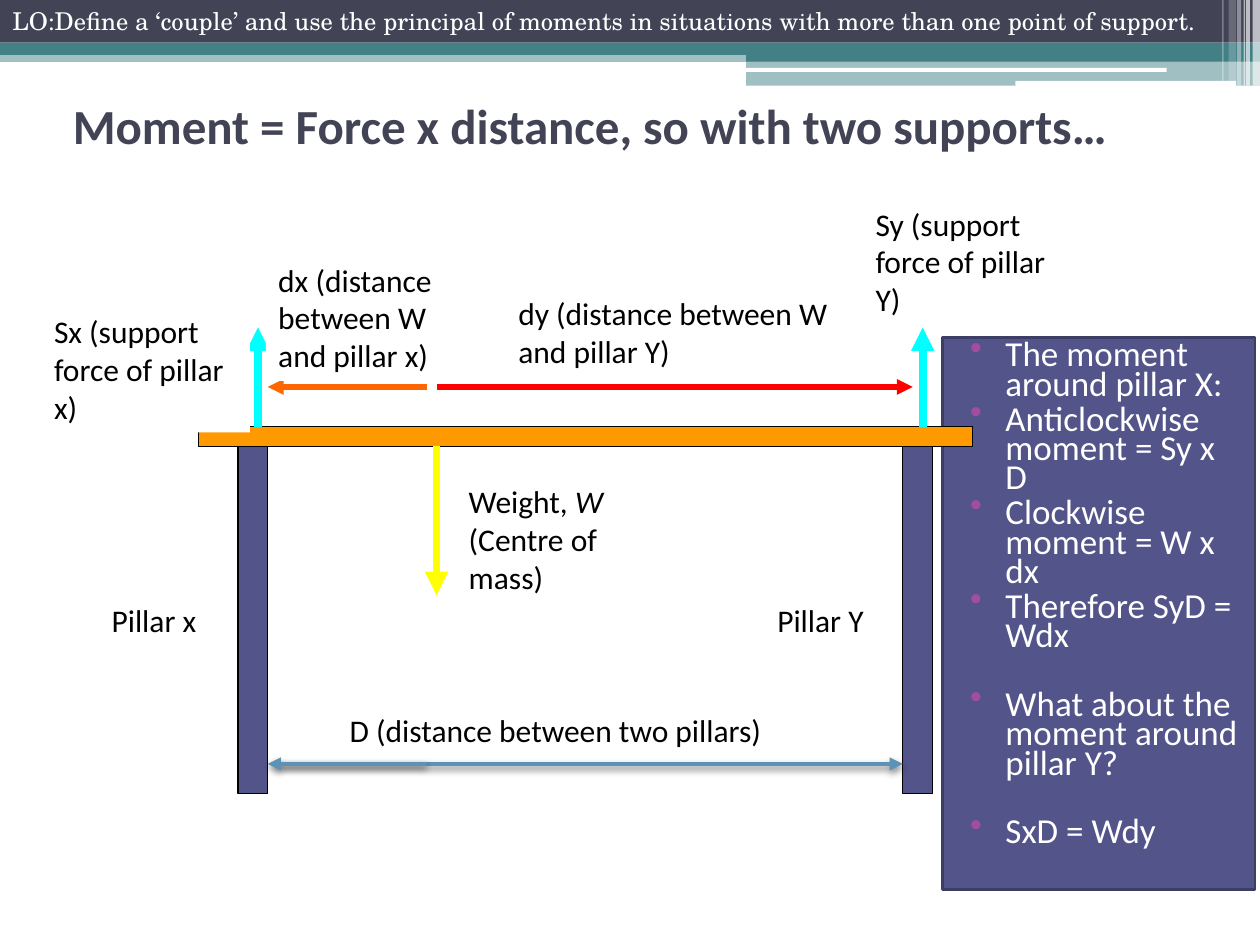
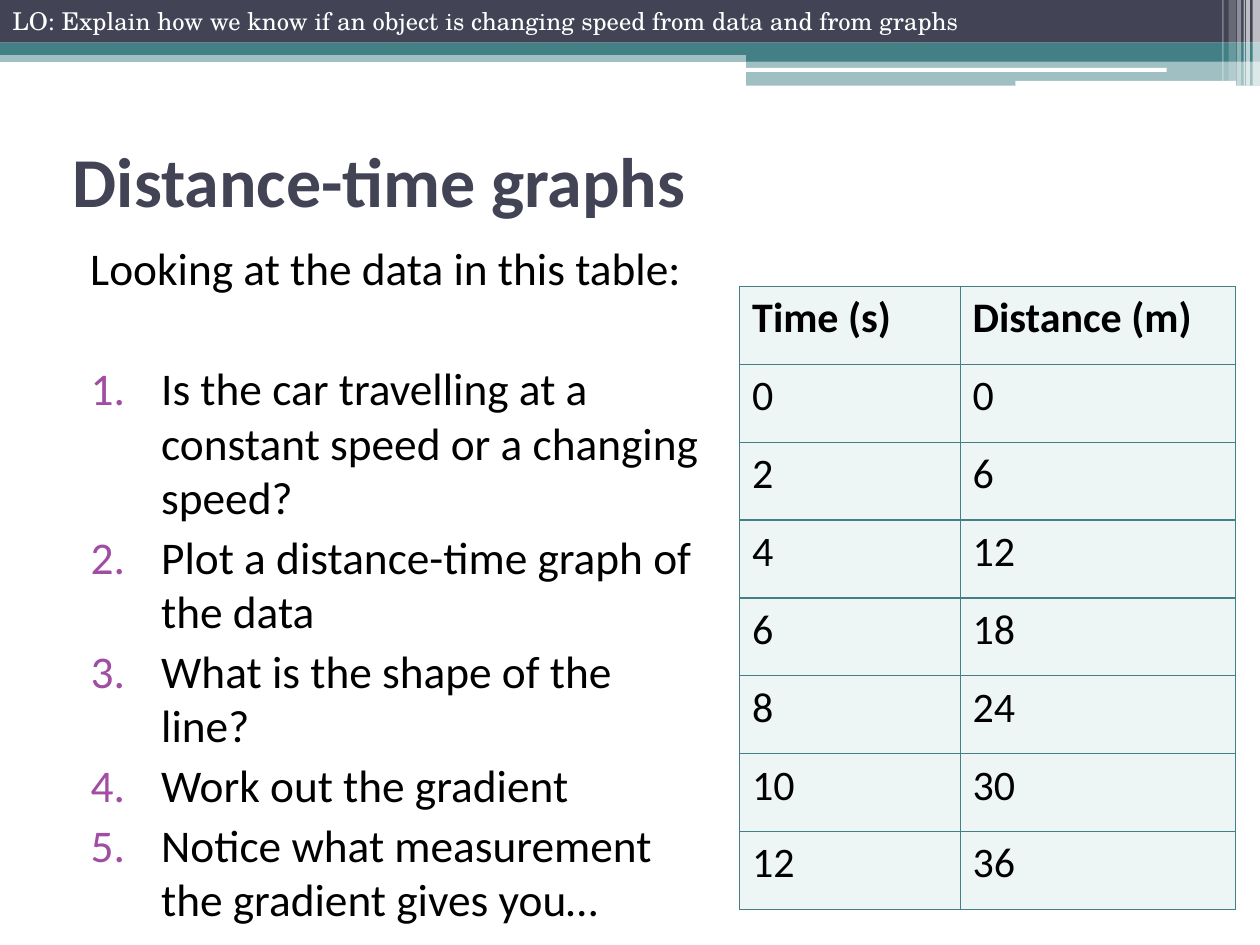
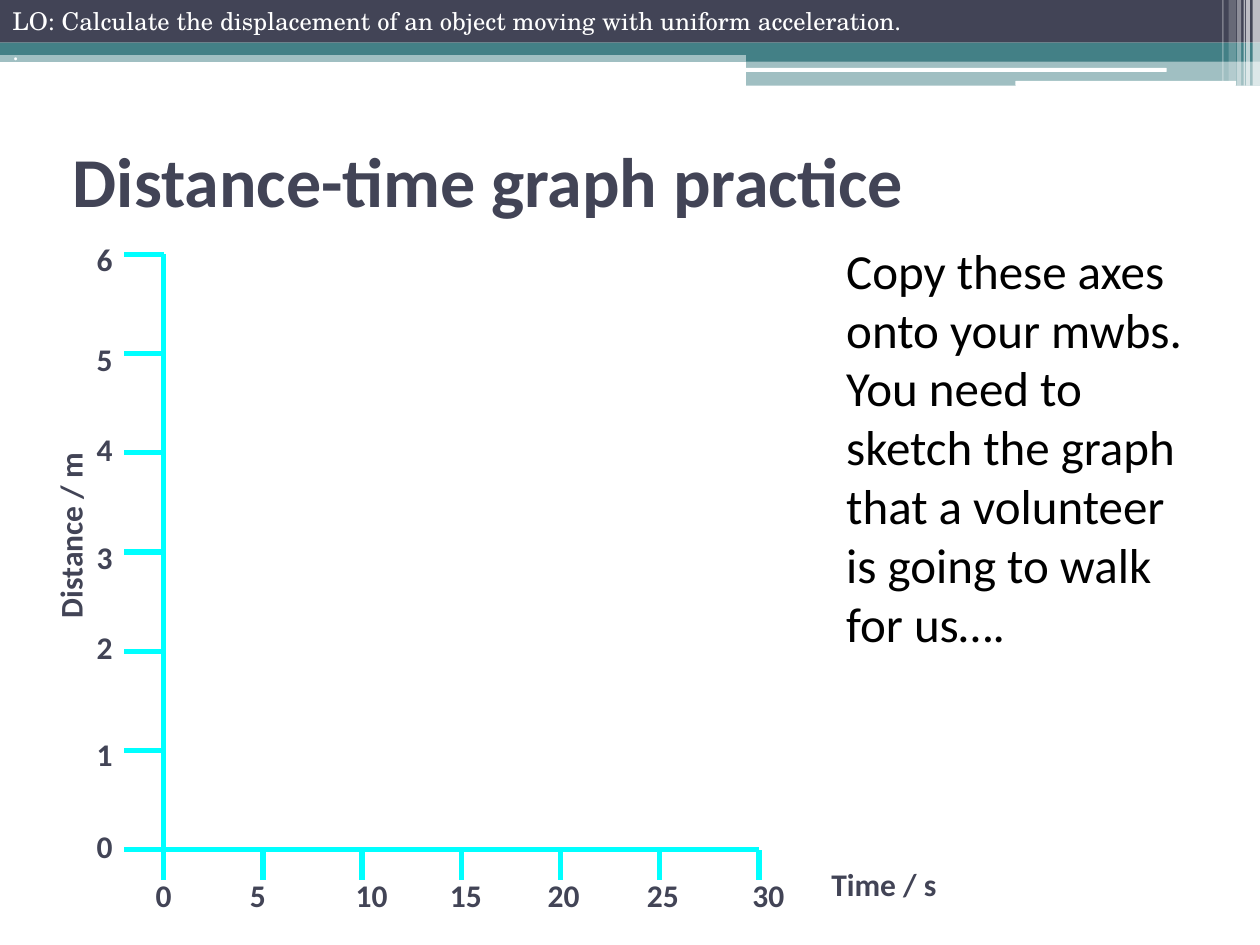
"""Build three physics slides on moments and distance-time graphs."""
from collections import namedtuple

from lxml.etree import SubElement as Sub
from pptx import Presentation
from pptx.dml.color import RGBColor as Rgb
from pptx.enum.shapes import MSO_CONNECTOR as Link, MSO_SHAPE as Kind
from pptx.enum.text import MSO_ANCHOR as Anchor, PP_ALIGN as Align
from pptx.oxml.ns import qn
from pptx.util import Cm, Pt

Box = namedtuple("Box", "x y w h")

HUES = {
    "ink": "424456", "teal": "438086", "white": "FFFFFF", "black": "000000",
    "slate": "53548A", "edge": "3D3E66", "dot": "A04DA3", "beam": "FF9900",
    "yellow": "FFFF00", "cyan": "00FFFF", "red": "FF0000", "orange": "FF6600",
    "blue": "5C92B5", "mint": "EDF5F5",
}
SANS, SERIF = "Calibri", "TeX Gyre Schola"
PAGE = Box(0, 0, 25.4, 19.05)


def hue(name):
    """Return the named colour."""
    return Rgb.from_string(HUES[name])


def span(box):
    """Return a box as four lengths."""
    return [Cm(side) for side in box]


def inside(box, x, y, w, h):
    """Return a box placed from the corner of another."""
    return Box(box.x + x, box.y + y, w, h)


def block(slide, box, fill, edge=None, width=0.75, kind=Kind.RECTANGLE, alpha=100):
    """Draw a filled shape, with an edge if one is named."""
    shape = slide.shapes.add_shape(kind, *span(box))
    shape.shadow.inherit = False
    shape.fill.solid()
    shape.fill.fore_color.rgb = hue(fill)
    if alpha < 100:
        tint = next(shape.element.spPr.iter(qn("a:srgbClr")))
        Sub(tint, qn("a:alpha"), val=str(alpha * 1000))
    if edge:
        shape.line.color.rgb = hue(edge)
        shape.line.width = Pt(width)
    else:
        shape.line.fill.background()
    return shape


def style(frame, size, color="black", bold=False, font=SANS):
    """Format every run in a frame."""
    for para in frame.paragraphs:
        para.alignment = Align.LEFT
        for run in para.runs:
            run.font.size = Pt(size)
            run.font.name = font
            run.font.bold = bold
            run.font.color.rgb = hue(color)


def write(slide, box, text, size, color="black", wrap=True, **look):
    """Add a text box and return it."""
    shape = slide.shapes.add_textbox(*span(box))
    shape.text_frame.word_wrap = wrap
    shape.text_frame.text = text
    style(shape.text_frame, size, color, **look)
    return shape


def bullet(para, left, hang, tag, **mark):
    """Give a paragraph a hanging, coloured bullet."""
    props = para._p.get_or_add_pPr()
    props.set("marL", str(Cm(left)))
    props.set("indent", str(-Cm(hang)))
    Sub(Sub(props, qn("a:buClr")), qn("a:srgbClr"), val=HUES["dot"])
    Sub(props, qn(tag), **mark)


def stroke(slide, box, start, end, color, width, head=False, shade=False):
    """Draw a line between two points of a box."""
    ends = [Cm(base + step) for point in (start, end)
            for base, step in zip((box.x, box.y), point)]
    line = slide.shapes.add_connector(Link.STRAIGHT, *ends)
    line.line.color.rgb = hue(color)
    line.line.width = Pt(width)
    if head:
        Sub(line.line._get_or_add_ln(), qn("a:tailEnd"), type="triangle")
    glow = Sub(line.element.spPr, qn("a:effectLst"))
    if shade:
        drop = Sub(glow, qn("a:outerShdw"), blurRad=str(Pt(4)), dist=str(Pt(2)),
                   dir="5400000", rotWithShape="0")
        tint = Sub(drop, qn("a:srgbClr"), val=HUES["black"])
        Sub(tint, qn("a:alpha"), val="45000")


def banner(slide, box):
    """Draw the bands and stripes along the top."""
    half = 15.04
    for x, y, w, h, fill, alpha in (
            (0, 1.02, box.w, 0.23, "teal", 50), (0, 0, box.w, 0.86, "ink", 100),
            (0, 0.86, box.w, 0.25, "teal", 100),
            (half, 0.99, box.w - half, 0.25, "teal", 100),
            (half, 1.22, box.w - half, 0.51, "teal", 50)):
        block(slide, inside(box, x, y, w, h), fill, alpha=alpha)
    for bar in ((15.01, 1.37, 8.51, 0.08), (20.47, 1.63, 4.45, 0.1)):
        block(slide, inside(box, *bar), "white", kind=Kind.ROUNDED_RECTANGLE)
    for x, w, h, alpha in (
            (25.25, 0.15, 1.73, 65), (25.12, 0.08, 1.73, 65), (25.07, 0.03, 1.73, 60),
            (24.94, 0.08, 1.73, 40), (24.77, 0.15, 1.63, 20), (24.64, 0.03, 1.63, 30)):
        block(slide, inside(box, x, 0, w, h), "white", alpha=alpha)


def start(deck, title, goal, size=40, spot=Box(1.22, 2.13, 22.86, 2.97)):
    """Add a slide with its banner, title and learning goal."""
    slide = deck.slides.add_slide(deck.slide_layouts[6])
    banner(slide, PAGE)
    head = write(slide, spot, title, size, "ink", bold=True)
    head.text_frame.vertical_anchor = Anchor.MIDDLE
    write(slide, Box(0, 0, 25.3, 0.86), goal, 14, "white", font=SERIF)
    return slide


def panel(slide, box):
    """Draw the panel that works through the moments."""
    frame = block(slide, box, "slate", "edge", 1.5).text_frame
    frame.word_wrap = True
    frame.vertical_anchor = Anchor.TOP
    steps = (("The moment around pillar X:", 0), ("Anticlockwise moment = Sy x D", 3),
             ("Clockwise moment = W x dx", 3), ("Therefore SyD = Wdx", 3),
             ("What about the moment around pillar Y?", 22.5), ("SxD = Wdy", 22.5))
    frame.text = "\n".join(text for text, gap in steps)
    for para, (text, gap) in zip(frame.paragraphs, steps):
        para.line_spacing = 0.7
        para.space_before = Pt(gap)
        bullet(para, 1.02, 0.71, "a:buChar", char="•")
    style(frame, 20, "white")


def bridge(slide, box):
    """Draw the beam on two pillars with its forces and lengths."""
    for x in (4, 17.4):
        block(slide, inside(box, x, 5, 0.6, 7), "slate", "black")
    block(slide, inside(box, 3.2, 4.6, 15.6, 0.4), "beam", "black")
    for first, last, color, width in (
            ((8, 5), (8, 8), "yellow", 4.5),
            ((17.8, 4.6), (17.8, 2.6), "cyan", 4.5),
            ((4.4, 4.6), (4.4, 2.6), "cyan", 4.5),
            ((8, 3.8), (17.6, 3.8), "red", 3),
            ((7.8, 3.8), (4.6, 3.8), "orange", 3),
            ((4.8, 11.4), (17.4, 11.4), "blue", 2.5),
            ((7.8, 11.4), (4.6, 11.4), "blue", 2.5)):
        stroke(slide, box, first, last, color, width, True, color == "blue")
    for x, y, w, h, text in (
            (16.6, 0, 4, 2.55, "Sy (support force of pillar Y)"),
            (0.04, 2.17, 4.2, 2.55, "Sx (support force of pillar x)"),
            (9.4, 1.8, 7, 1.78, "dy (distance between W and pillar Y)"),
            (4.56, 1.13, 3.8, 2.55, "dx (distance between W and pillar x)"),
            (6, 10.2, 10.4, 1.02, "D (distance between two pillars)"),
            (1.2, 8, 2.6, 1.02, "Pillar x"),
            (14.62, 8, 2.6, 1.02, "Pillar Y"),
            (8.4, 5.6, 4, 2.55, "Weight, ")):
        label = write(slide, inside(box, x, y, w, h), text, 18)
        label.fill.solid()
        label.fill.fore_color.rgb = hue("white")
    para = label.text_frame.paragraphs[0]
    for text, slant in (("W", True), (" (Centre of mass)", False)):
        run = para.add_run()
        run.text = text
        run.font.italic = slant
    style(label.text_frame, 18)


def tasks(slide, box):
    """Write the numbered questions about the data."""
    lines = ("Looking at the data in this table:",
             "Is the car travelling at a constant speed or a changing speed?",
             "Plot a distance-time graph of the data", "What is the shape of the line?",
             "Work out the gradient", "Notice what measurement the gradient gives you…")
    frame = write(slide, box, "\n".join(lines), 25.9).text_frame
    lead, *rest = frame.paragraphs
    lead._p.get_or_add_pPr().set("marL", str(Cm(0.3)))
    for para in rest:
        para.space_before = Pt(37.5 if para is rest[0] else 3)
        bullet(para, 1.73, 1.42, "a:buAutoNum", type="arabicPeriod")


def border(cell):
    """Line all four sides of a cell."""
    props = cell._tc.get_or_add_tcPr()
    for side in "LRTB":
        line = Sub(props, qn("a:ln" + side), w=str(Pt(0.75)))
        Sub(Sub(line, qn("a:solidFill")), qn("a:srgbClr"), val=HUES["teal"])


def data(slide, box):
    """Fill the table of times and distances."""
    rows = [("Time (s)", "Distance (m)")] + [(t, 3 * t) for t in range(0, 13, 2)]
    table = slide.shapes.add_table(len(rows), 2, *span(box)).table
    for col, part in zip(table.columns, (4 / 9, 5 / 9)):
        col.width = Cm(box.w * part)
    for r, row in enumerate(rows):
        table.rows[r].height = Cm(box.h / len(rows))
        for c, value in enumerate(row):
            cell = table.cell(r, c)
            border(cell)
            cell.fill.solid()
            cell.fill.fore_color.rgb = hue("mint")
            cell.text = str(value)
            style(cell.text_frame, 24, bold=r == 0)


def axes(slide, box):
    """Draw the blank graph with its ticks and labels."""
    step = box.w / 6

    def tag(x, y, w, text):
        """Write one bold label of the graph."""
        return write(slide, inside(box, x, y, w, 1.02), text, 18, "ink", False, bold=True)

    def rule(first, last):
        """Draw one line of the graph."""
        stroke(slide, box, first, last, "cyan", 3)

    rule((0, 0), (0, box.h))
    rule((box.w, box.h), (0, box.h))
    lifts = (0.58, 0.43, 0.6, 0.41, 0.58, 0.41, 0.41)
    shifts = (0.41, 0.51, 0.38, 0.48, 0.51, 0.51, 0.38)
    for n, (lift, shift) in enumerate(zip(lifts, shifts)):
        x, y = n * step, box.h - n * step
        rule((0, y), (-0.8, y))
        rule((x, box.h + 0.6), (x, box.h))
        tag(-1.6, y - lift, 0.84, str(n))
        tag(x - shift, box.h + 0.4, 0.84 if n < 2 else 1.17, str(5 * n))
    tag(-3.83, 5.13, 3.89, "Distance / m").rotation = 270
    tag(13.21, 12.19, 2.64, "Time / s")


def main():
    """Build and save the three slides."""
    deck = Presentation()
    deck.slide_width, deck.slide_height = Cm(PAGE.w), Cm(PAGE.h)

    slide = start(deck, "Moment = Force x distance, so with two supports…",
                  "LO:Define a ‘couple’ and use the principal of moments in situations "
                  "with more than one point of support.", 28, Box(1.22, 1.52, 22.86, 2))
    panel(slide, Box(19, 6.8, 6.3, 11.13))
    bridge(slide, Box(0.8, 4, 20.6, 12))

    slide = start(deck, "Distance-time graphs",
                  "LO: Explain how we know if an object is changing speed "
                  "from data and from graphs")
    tasks(slide, Box(1.27, 4.72, 13.23, 13.54))
    data(slide, Box(14.91, 5.77, 10, 12.57))

    slide = start(deck, "Distance-time graph practice",
                  "LO: Calculate the displacement of an object moving with "
                  "uniform acceleration.\n.")
    note = write(slide, Box(16.51, 4.72, 7.62, 11.4),
                 "Copy these axes onto your mwbs. You need to sketch the graph "
                 "that a volunteer is going to walk for us….", 28)
    note.text_frame.paragraphs[0]._p.get_or_add_pPr().set("marL", str(Cm(0.3)))
    axes(slide, Box(3.3, 5.13, 12, 12))
    deck.save("out.pptx")


if __name__ == "__main__":
    main()
